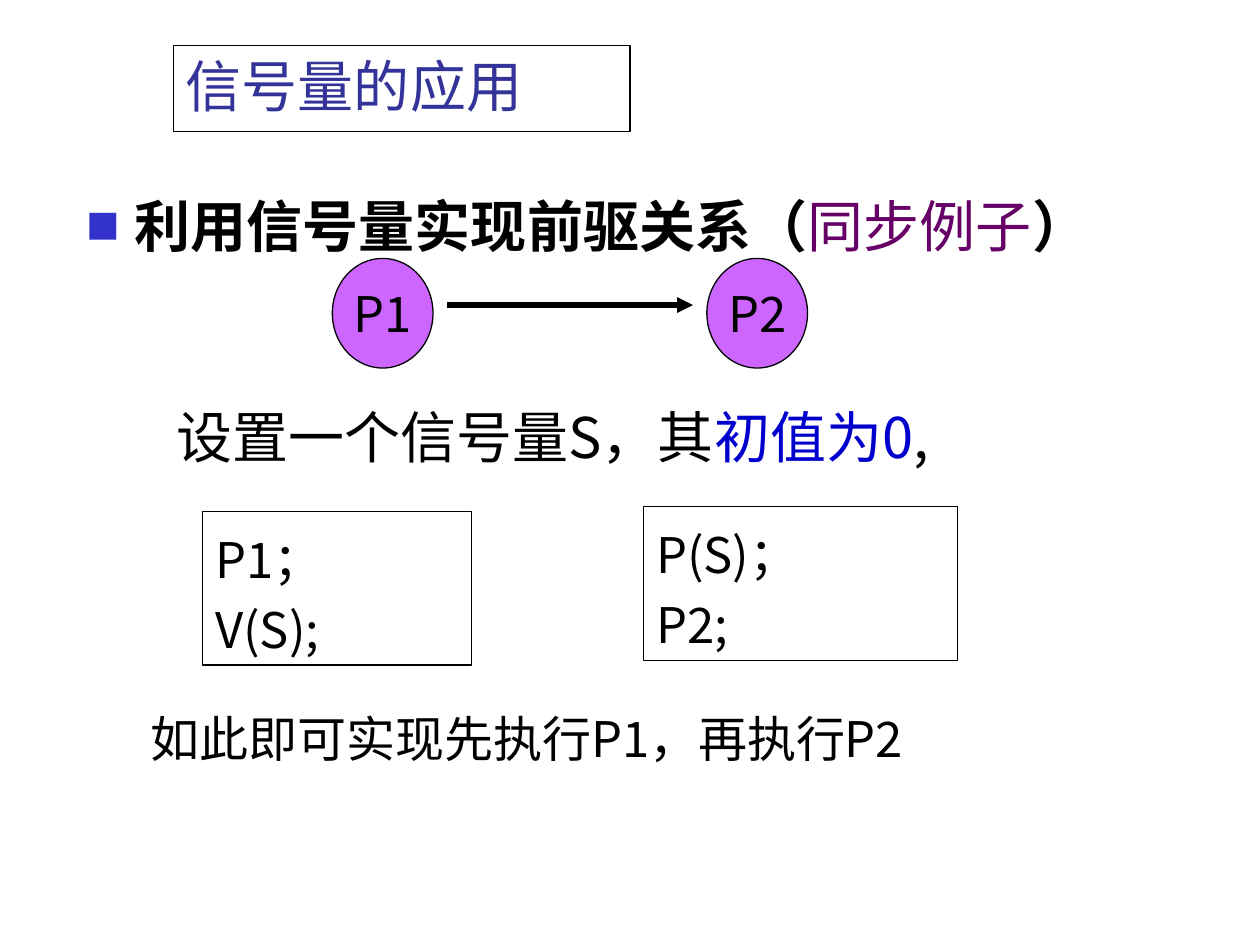
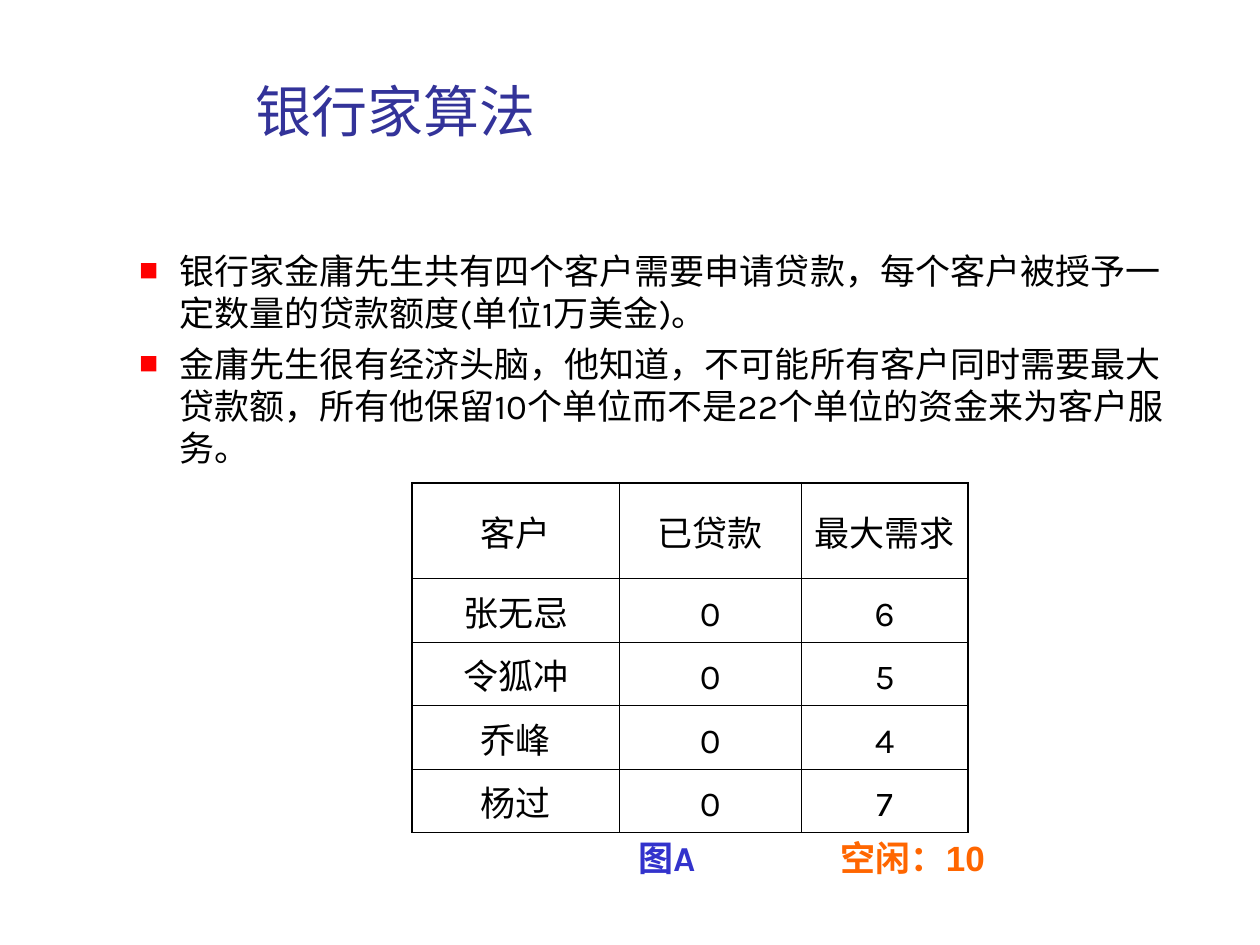
from dataclasses import dataclass
from typing import NamedTuple

import pptx
import pptx.dml.color
import pptx.enum.dml
import pptx.enum.shapes
import pptx.enum.text
import pptx.oxml
import pptx.oxml.ns
import pptx.util
from lxml import etree

Cm = pptx.util.Cm
Pt = pptx.util.Pt
qn = pptx.oxml.ns.qn
ALIGN = pptx.enum.text.PP_ALIGN
ANCHOR = pptx.enum.text.MSO_ANCHOR
SHAPE = pptx.enum.shapes.MSO_SHAPE


@dataclass(frozen=True)
class Theme:
    black: str = "000000"
    white: str = "FFFFFF"
    title: str = "333399"
    accent: str = "3333CC"
    process: str = "CC66FF"
    example: str = "660066"
    initial: str = "0000CC"
    red: str = "FF0000"
    free: str = "FF6600"
    cjk: str = "Noto Sans CJK SC"
    body: str = "Karla"
    caption: str = "Arial"
    large: float = 32
    medium: float = 28
    small: float = 20
    thin: float = 0.75
    arrow: float = 3
    table_outer: float = 1.08
    table_inner: float = 0.45


THEME = Theme()


class Area(NamedTuple):
    """Left, top, width and height in centimetres."""
    left: float
    top: float
    width: float
    height: float

    def lengths(self) -> list:
        return [Cm(value) for value in self]


class Span(NamedTuple):
    text: str
    color: str = THEME.black
    bold: bool = False


class Bullet(NamedTuple):
    color: str
    percent: int
    indent: float
    hanging: float


@dataclass(frozen=True)
class Style:
    size: float
    font: str = THEME.cjk
    color: str = THEME.black
    bold: bool = False
    align: ALIGN = ALIGN.LEFT
    line_spacing: float = 1.0
    space_before: float = 0
    bullet: Bullet | None = None


@dataclass(frozen=True)
class TextBlock:
    area: Area
    style: Style
    paras: list
    framed: bool = False
    fill: str | None = None
    anchor: ANCHOR = ANCHOR.TOP
    wrap: bool = True


TITLE = Style(THEME.large, color=THEME.title)
HEADING = Style(THEME.large, THEME.body, bullet=Bullet(THEME.accent, 60, 0.97, 0.97))
POINT = Style(THEME.small, THEME.body, space_before=5,
              bullet=Bullet(THEME.red, 55, 2.06, 0.79))
STATEMENT = Style(THEME.large, line_spacing=1.2)
CODE = Style(THEME.medium, line_spacing=1.2)
PROCESS = Style(THEME.medium, align=ALIGN.CENTER)
CELL = Style(THEME.small, THEME.body, align=ALIGN.CENTER)
FIGURE = Style(THEME.small, THEME.body, THEME.accent, True)
FREE = Style(THEME.small, THEME.caption, THEME.free, True, ALIGN.CENTER)


def rgb(value: str) -> pptx.dml.color.RGBColor:
    return pptx.dml.color.RGBColor.from_string(value)


def add_bullet(para, bullet: Bullet) -> None:
    properties = para._p.get_or_add_pPr()
    properties.set("marL", str(Cm(bullet.indent)))
    properties.set("indent", str(-Cm(bullet.hanging)))
    color = etree.SubElement(properties, qn("a:buClr"))
    etree.SubElement(color, qn("a:srgbClr"), val=bullet.color)
    etree.SubElement(properties, qn("a:buSzPct"), val=str(bullet.percent * 1000))
    etree.SubElement(properties, qn("a:buFont"), typeface=THEME.cjk)
    etree.SubElement(properties, qn("a:buChar"), char="■")


def write_para(para, content: str | list[Span], style: Style, first: bool = True) -> None:
    para.alignment = style.align
    para.line_spacing = style.line_spacing
    if style.space_before and not first:
        para.space_before = Pt(style.space_before)
    if style.bullet:
        add_bullet(para, style.bullet)
    para.font.size = Pt(style.size)
    para.font.name = style.font
    if isinstance(content, str):
        para.font.bold = style.bold
        para.font.color.rgb = rgb(style.color)
        para.add_run().text = content
    else:
        for span in content:
            run = para.add_run()
            run.text = span.text
            run.font.bold = span.bold
            run.font.color.rgb = rgb(span.color)
    defaults = para._p.pPr.find(qn("a:defRPr"))
    etree.SubElement(defaults, qn("a:ea"), typeface=style.font)


def outline(shape) -> None:
    shape.line.color.rgb = rgb(THEME.black)
    shape.line.width = Pt(THEME.thin)


def draw_text(page, block: TextBlock) -> None:
    box = page.shapes.add_textbox(*block.area.lengths())
    frame = box.text_frame
    frame.word_wrap = block.wrap
    frame.vertical_anchor = block.anchor
    if block.framed:
        outline(box)
    if block.fill:
        box.fill.solid()
        box.fill.fore_color.rgb = rgb(block.fill)
    for index, content in enumerate(block.paras):
        para = frame.add_paragraph() if index else frame.paragraphs[0]
        write_para(para, content, block.style, first=index == 0)


def draw_process(page, name: str, left: float) -> None:
    circle = page.shapes.add_shape(SHAPE.OVAL, *Area(left, 5.21, 2.03, 2.21).lengths())
    circle.shadow.inherit = False
    circle.fill.solid()
    circle.fill.fore_color.rgb = rgb(THEME.process)
    outline(circle)
    circle.text_frame.word_wrap = False
    circle.text_frame.vertical_anchor = ANCHOR.MIDDLE
    write_para(circle.text_frame.paragraphs[0], name, PROCESS)


def draw_arrow(page, start: float, end: float, height: float) -> None:
    arrow = page.shapes.add_connector(pptx.enum.shapes.MSO_CONNECTOR.STRAIGHT,
                                      Cm(start), Cm(height), Cm(end), Cm(height))
    arrow.line.color.rgb = rgb(THEME.black)
    arrow.line.width = Pt(THEME.arrow)
    etree.SubElement(arrow.line._get_or_add_ln(), qn("a:tailEnd"), type="triangle")
    etree.SubElement(arrow._element.spPr, qn("a:effectLst"))


def set_borders(cell, outer_sides: dict[str, bool]) -> None:
    """Draw each side of a cell, heavier where it lies on the table's edge."""
    properties = cell._tc.get_or_add_tcPr()
    for position, (side, outer) in enumerate(outer_sides.items()):
        width = THEME.table_outer if outer else THEME.table_inner
        line = etree.Element(qn(f"a:ln{side}"), w=str(Pt(width)))
        fill = etree.SubElement(line, qn("a:solidFill"))
        etree.SubElement(fill, qn("a:srgbClr"), val=THEME.black)
        properties.insert(position, line)


def draw_table(page, area: Area, widths: list[float], heights: list[float],
               rows: list[tuple]) -> None:
    table = page.shapes.add_table(len(rows), len(widths), *area.lengths()).table
    table.first_row = table.horz_banding = False
    for column, width in zip(table.columns, widths):
        column.width = Cm(width)
    for row, height in zip(table.rows, heights):
        row.height = Cm(height)
    last_row, last_column = len(rows) - 1, len(widths) - 1
    for r, values in enumerate(rows):
        for c, value in enumerate(values):
            cell = table.cell(r, c)
            cell.fill.background()
            cell.vertical_anchor = ANCHOR.MIDDLE
            cell.margin_top = Cm(0.3)
            write_para(cell.text_frame.paragraphs[0], value, CELL)
            set_borders(cell, {"L": c == 0, "R": c == last_column,
                               "T": r == 0, "B": r == last_row})


def build_semaphore_page(page) -> None:
    heading = [Span("利用信号量实现前驱关系（", bold=True),
               Span("同步例子", THEME.example), Span("）", bold=True)]
    statement = [Span("设置一个信号量S，其"), Span("初值为0", THEME.initial), Span(",")]
    draw_text(page, TextBlock(Area(1.5, 3.73, 23.37, 12.6), HEADING, [heading]))
    for name, left in (("P1", 6.7), ("P2", 14.25)):
        draw_process(page, name, left)
    draw_arrow(page, 9.02, 13.97, 6.15)
    for block in (
        TextBlock(Area(3.3, 7.72, 17.6, 1.88), STATEMENT, [statement]),
        TextBlock(Area(4.09, 10.31, 5.41, 3.1), CODE, ["P1；", "V(S);"], framed=True),
        TextBlock(Area(12.98, 10.21, 6.32, 3.1), CODE, ["P(S)；", "P2;"], framed=True),
        TextBlock(Area(2.79, 13.92, 16, 3.1), CODE, ["如此即可实现先执行P1，再执行P2"]),
        TextBlock(Area(3.5, 0.92, 9.2, 1.73), TITLE, ["信号量的应用"],
                  framed=True, fill=THEME.white),
    ):
        draw_text(page, block)


def build_banker_page(page) -> None:
    points = [
        "银行家金庸先生共有四个客户需要申请贷款，每个客户被授予一定数量的贷款额度(单位1万美金)。",
        "金庸先生很有经济头脑，他知道，不可能所有客户同时需要最大贷款额，"
        "所有他保留10个单位而不是22个单位的资金来为客户服务。",
    ]
    demands = {"张无忌": 6, "令狐冲": 5, "乔峰": 4, "杨过": 7}
    rows = [("客户", "已贷款", "最大需求")]
    rows += [(client, "0", str(demand)) for client, demand in demands.items()]
    draw_table(page, Area(8.31, 9.73, 11.2, 7.05), [4.17, 3.68, 3.35],
               [1.93] + [1.28] * len(demands), rows)
    for block in (
        TextBlock(Area(1.3, 4.9, 23.01, 4.83), POINT, points),
        TextBlock(Area(16.1, 16.74, 4.6, 1.12), FREE, ["空闲：10"]),
        TextBlock(Area(4.9, 1.32, 16.21, 1.7), TITLE, ["银行家算法"], anchor=ANCHOR.BOTTOM),
        TextBlock(Area(12.62, 16.74, 1.83, 1.12), FIGURE, ["图A"], wrap=False),
    ):
        draw_text(page, block)


def main() -> None:
    deck = pptx.Presentation()
    deck.slide_width, deck.slide_height = Cm(25.4), Cm(19.05)
    for build in (build_semaphore_page, build_banker_page):
        build(deck.slides.add_slide(deck.slide_layouts[6]))
    deck.save("out.pptx")


if __name__ == "__main__":
    main()
